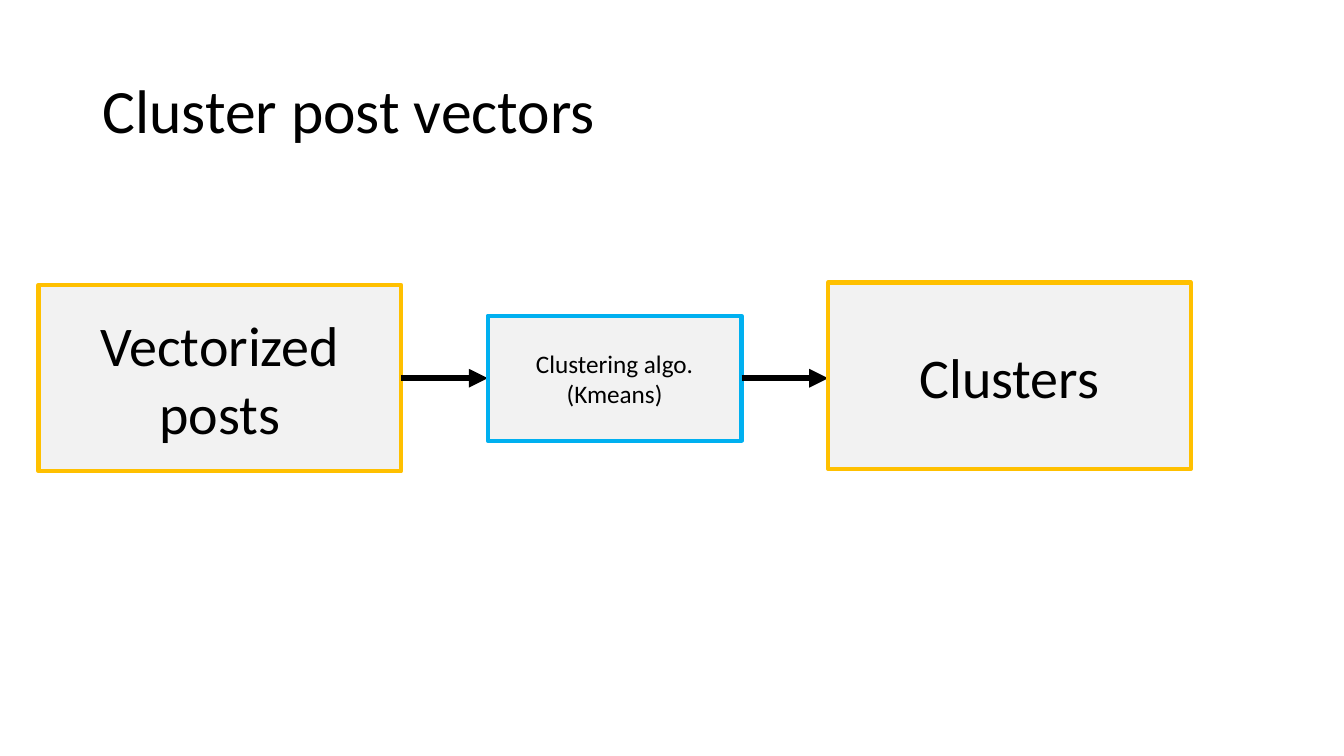
from lxml import etree
from pptx import Presentation
from pptx.dml.color import RGBColor
from pptx.enum import shapes, text
from pptx.oxml import ns
from pptx.util import Cm, Pt

FONT = "Calibri"
BLACK, GREY, AMBER, BLUE = "000000", "F2F2F2", "FFC000", "00B0F0"

STEPS = [
    (["Vectorized posts"], 40, AMBER, 9.14, 4.7, 0),
    (["Clustering algo.", "(Kmeans)"], 18, BLUE, 6.4, 3.15, 0),
    (["Clusters"], 40, AMBER, 9.14, 4.7, -0.06),
]


def color(value):
    return RGBColor.from_string(value)


def add_run(p, words, size):
    r = p.add_run()
    r.text = words
    r.font.name = FONT
    r.font.size = Pt(size)
    r.font.color.rgb = color(BLACK)


def add_title(s, left, top, width, height):
    sp = s.shapes.title
    sp.left, sp.top, sp.width, sp.height = Cm(left), Cm(top), Cm(width), Cm(height)
    tf = sp.text_frame
    tf.word_wrap = True
    tf.vertical_anchor = text.MSO_ANCHOR.MIDDLE
    p = tf.paragraphs[0]
    p.alignment = text.PP_ALIGN.LEFT
    p.line_spacing = 0.9
    add_run(p, "Cluster post vectors", 44)


def add_step(s, left, top, width, height, lines, size, border):
    sp = s.shapes.add_shape(shapes.MSO_SHAPE.RECTANGLE,
                            Cm(left), Cm(top), Cm(width), Cm(height))
    sp.shadow.inherit = False
    sp.fill.solid()
    sp.fill.fore_color.rgb = color(GREY)
    sp.line.color.rgb = color(border)
    sp.line.width = Pt(3)
    tf = sp.text_frame
    tf.word_wrap = True
    tf.vertical_anchor = text.MSO_ANCHOR.MIDDLE
    for i, words in enumerate(lines):
        p = tf.add_paragraph() if i else tf.paragraphs[0]
        p.alignment = text.PP_ALIGN.CENTER
        add_run(p, words, size)


def add_arrow(s, left, right, y):
    arrow = s.shapes.add_connector(shapes.MSO_CONNECTOR.STRAIGHT,
                                   Cm(left), Cm(y), Cm(right), Cm(y))
    arrow.line.color.rgb = color(BLACK)
    arrow.line.width = Pt(4.5)
    etree.SubElement(arrow.line._get_or_add_ln(), ns.qn("a:tailEnd"), type="triangle")
    etree.SubElement(arrow._element.spPr, ns.qn("a:effectLst"))


def add_flow(s, left, middle, gap):
    for i, (lines, size, border, width, height, shift) in enumerate(STEPS):
        if i:
            add_arrow(s, left - gap, left, middle)
        add_step(s, left, middle + shift - height / 2, width, height, lines, size, border)
        left += width + gap


def main():
    prs = Presentation()
    prs.slide_width, prs.slide_height = Cm(33.87), Cm(19.05)
    s = prs.slides.add_slide(prs.slide_layouts[5])
    add_title(s, 2.33, 1.01, 29.21, 3.68)
    add_flow(s, 0.97, 9.53, 2.18)
    prs.save("out.pptx")


if __name__ == "__main__":
    main()
